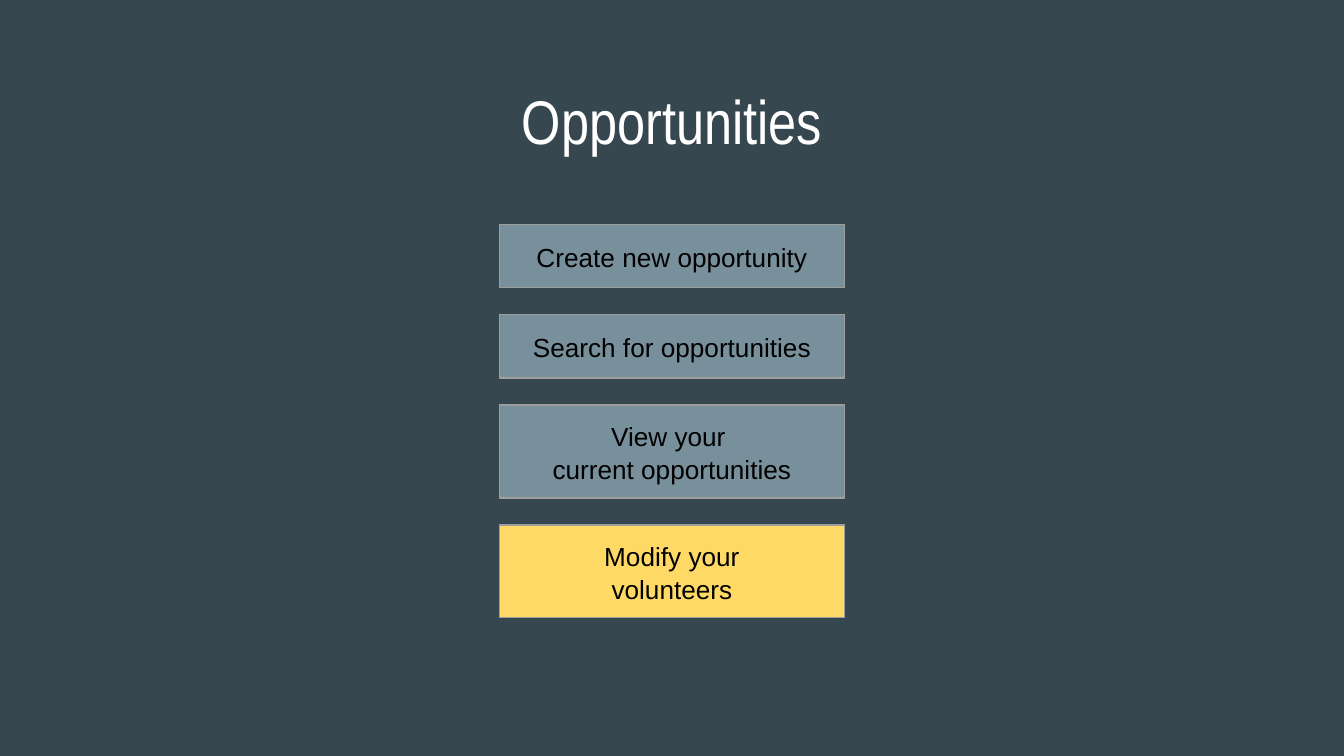
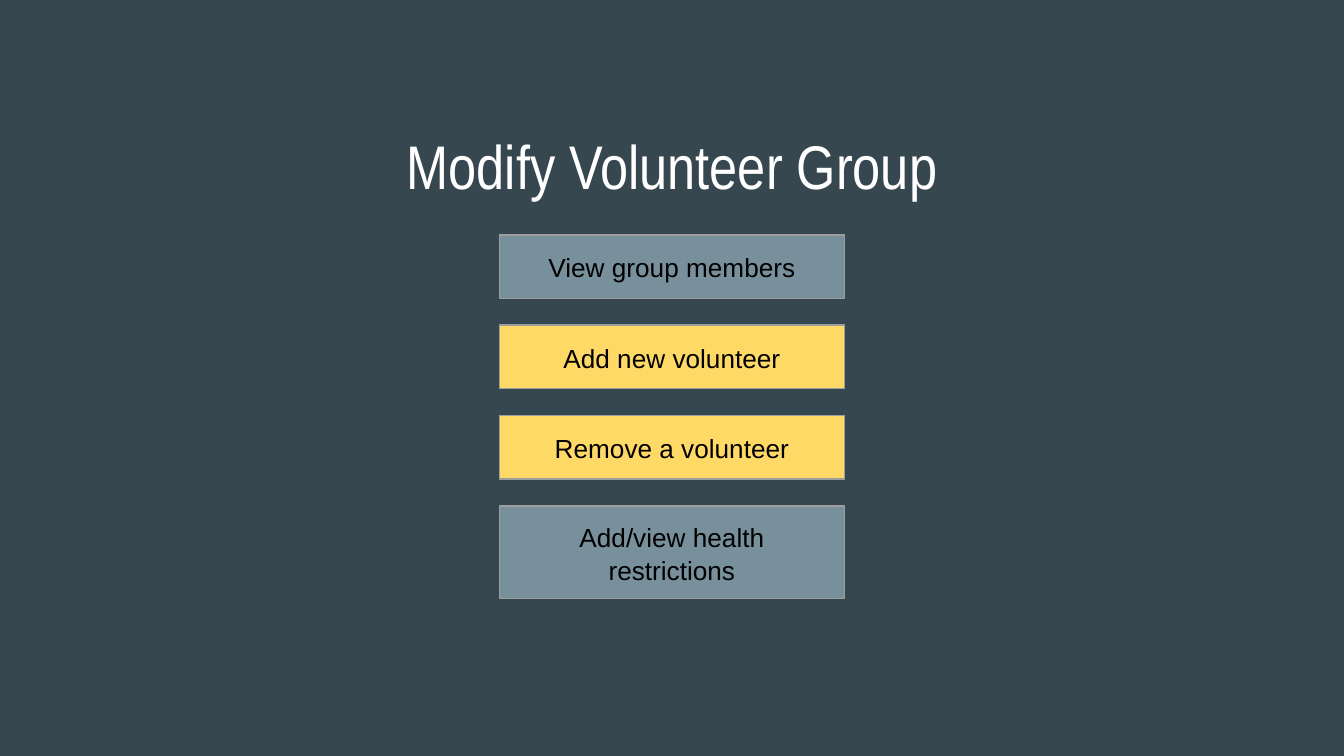
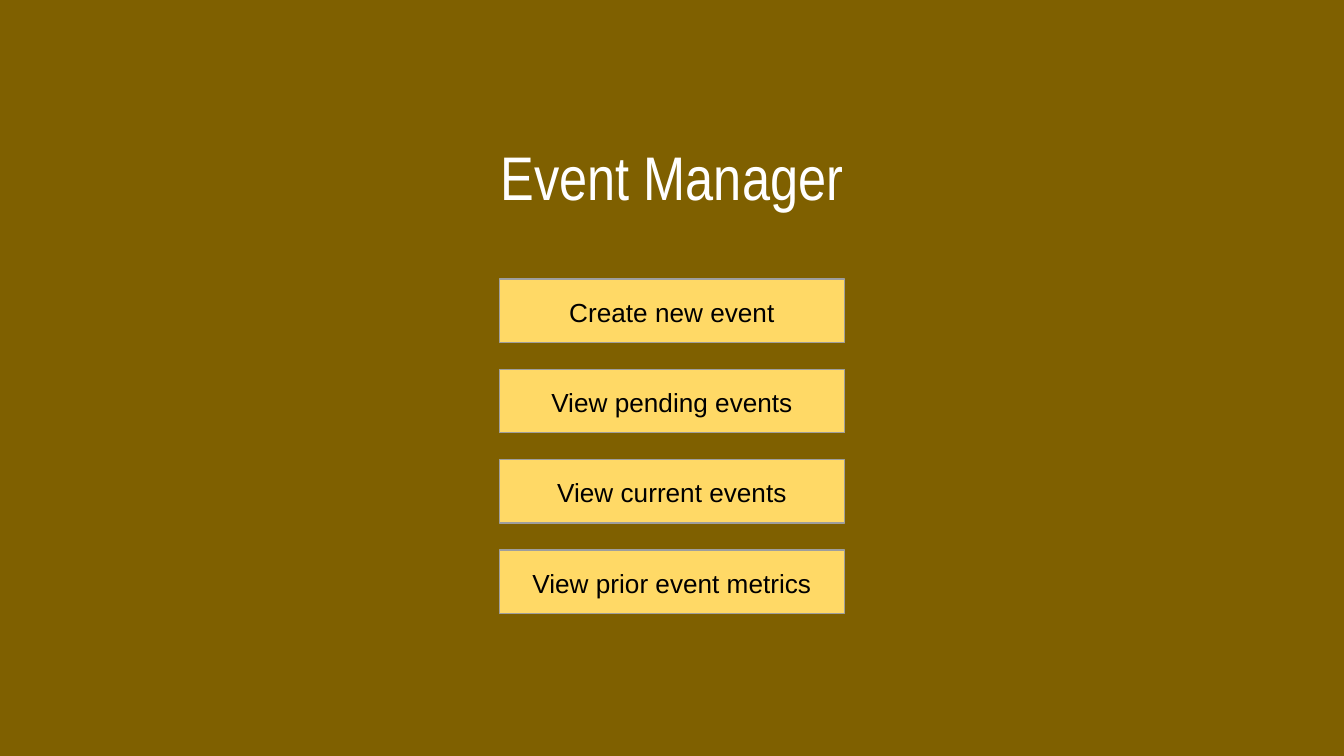
from pptx import Presentation
from pptx.dml.color import RGBColor
from pptx.enum.shapes import MSO_SHAPE
from pptx.enum.text import MSO_ANCHOR, MSO_AUTO_SIZE, PP_ALIGN
from pptx.util import Pt

COLORS = {
    "slate": "37474F",
    "olive": "7F6000",
    "steel": "78909C",
    "gold": "FFD966",
    "edge": "9E9E9E",
    "white": "FFFFFF",
    "black": "000000",
}
WIDTH, HEIGHT = 720, 405
TITLE_W, TITLE_H = 342, 294.5
BUTTON_W, GAP = 185, 14.4
LOW, TALL = 34, 49.8
INSET = 7.2

MENUS = [
    ("Opportunities", "slate", 33.1, 120.2, [
        ("Create new opportunity", "steel", LOW),
        ("Search for opportunities", "steel", LOW),
        ("View your \ncurrent opportunities", "steel", TALL),
        ("Modify your\nvolunteers", "gold", TALL),
    ]),
    ("Modify Volunteer Group", "slate", 57.6, 125.8, [
        ("View group members", "steel", LOW),
        ("Add new volunteer", "gold", LOW),
        ("Remove a volunteer", "gold", LOW),
        ("Add/view health restrictions", "steel", TALL),
    ]),
    ("Event Manager", "olive", 63.4, 149.5, [
        ("Create new event", "gold", LOW),
        ("View pending events", "gold", LOW),
        ("View current events", "gold", LOW),
        ("View prior event metrics", "gold", LOW),
    ]),
]


def color(name):
    return RGBColor.from_string(COLORS[name])


def paint(fill, name):
    fill.solid()
    fill.fore_color.rgb = color(name)


def place(shape, top, width, height):
    shape.left, shape.top = Pt((WIDTH - width) / 2), Pt(top)
    shape.width, shape.height = Pt(width), Pt(height)


def write(shape, text, face, size, ink, anchor, spacing):
    frame = shape.text_frame
    frame.text = text
    frame.word_wrap = True
    frame.auto_size = MSO_AUTO_SIZE.NONE
    frame.vertical_anchor = anchor
    frame.margin_left = frame.margin_right = Pt(INSET)
    frame.margin_top = frame.margin_bottom = Pt(INSET)
    for line in frame.paragraphs:
        line.alignment = PP_ALIGN.CENTER
        line.line_spacing = spacing
        for run in line.runs:
            run.font.name = face
            run.font.size = Pt(size)
            run.font.color.rgb = color(ink)


def add_title(slide, text, top):
    title = slide.shapes.title
    place(title, top, TITLE_W, TITLE_H)
    write(title, text, "Arial Narrow", 33, "white", MSO_ANCHOR.TOP, 1.1)


def add_button(slide, text, fill, top, height):
    button = slide.shapes.add_shape(MSO_SHAPE.RECTANGLE, 0, 0, 0, 0)
    place(button, top, BUTTON_W, height)
    button.shadow.inherit = False
    paint(button.fill, fill)
    button.line.color.rgb = color("edge")
    button.line.width = Pt(0.75)
    write(button, text, "Arial", 14, "black", MSO_ANCHOR.MIDDLE, 1.05)


def add_menu(deck, text, back, head, top, items):
    slide = deck.slides.add_slide(deck.slide_layouts[0])
    paint(slide.background.fill, back)
    extra = slide.placeholders[1].element
    extra.getparent().remove(extra)
    add_title(slide, text, head)
    for label, fill, height in items:
        add_button(slide, label, fill, top, height)
        top += height + GAP


def main():
    deck = Presentation()
    deck.slide_width, deck.slide_height = Pt(WIDTH), Pt(HEIGHT)
    for menu in MENUS:
        add_menu(deck, *menu)
    deck.save("out.pptx")


if __name__ == "__main__":
    main()
